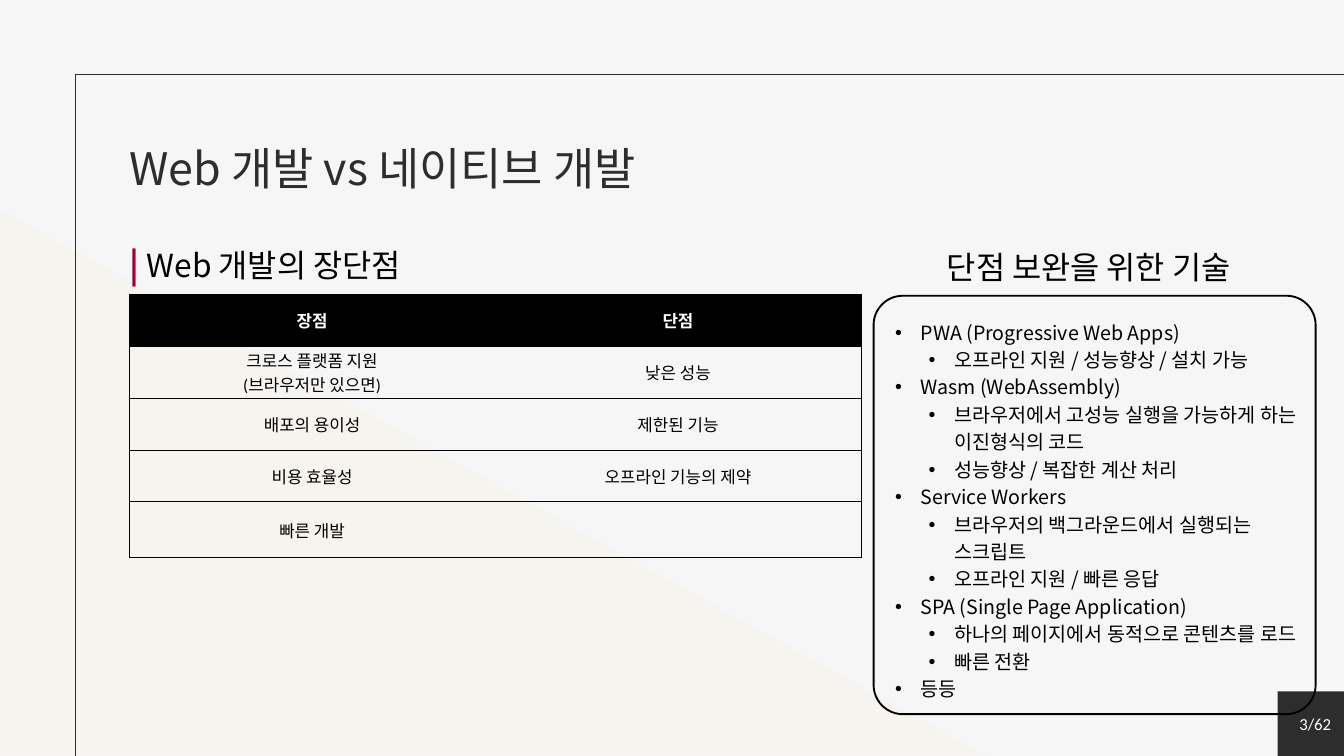
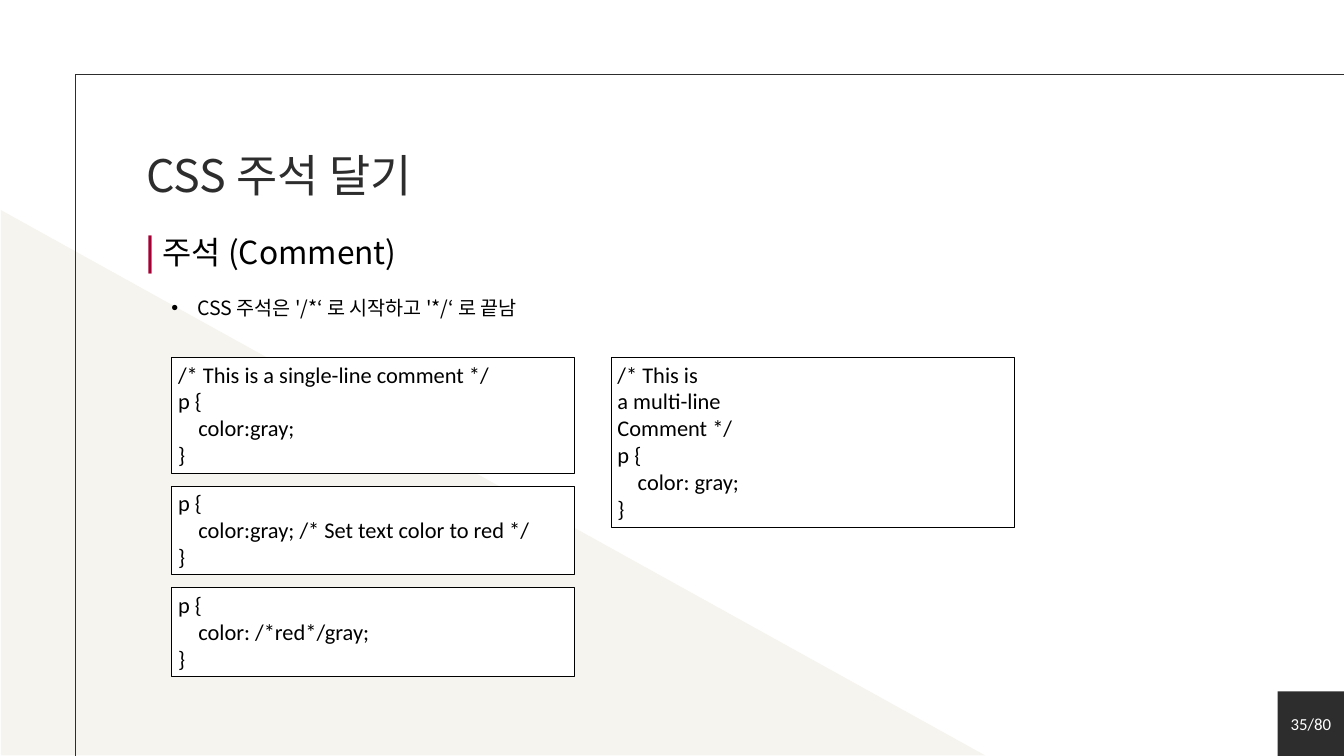
from lxml import etree
from pptx import Presentation
from pptx import util as u
from pptx.dml import color
from pptx.enum import shapes, text
from pptx.oxml import ns

COLORS = {
    "ink": "2D2D2D", "black": "000000", "white": "FFFFFF",
    "accent": "A50034", "sand": "F6F4EF", "mist": "F6F6F6",
}
SANS = "Noto Sans CJK KR"
PLAIN = "Calibri"
WIDTH, HEIGHT = 50.8, 28.58
CODE_WIDTH, CODE_LINE, CODE_PADDING, CODE_GAP = 15.24, 1.03, 0.25, 0.5


def rgb(name):
    return color.RGBColor.from_string(COLORS[name])


def box(left, top, width, height):
    return [u.Cm(length) for length in (left, top, width, height)]


def style_run(run, size, name, shade, bold=False):
    run.font.size = u.Pt(size)
    run.font.name = name
    run.font.bold = bold
    run.font.color.rgb = rgb(shade)
    east_asian = etree.Element(ns.qn("a:ea"), typeface=SANS)
    run.font._element.find(ns.qn("a:latin")).addnext(east_asian)


def style_paragraphs(frame, size, name, shade, spacing=None, align=text.PP_ALIGN.LEFT, bold=False):
    for paragraph in frame.paragraphs:
        paragraph.alignment = align
        if spacing:
            paragraph.line_spacing = u.Pt(spacing)
        for run in paragraph.runs:
            style_run(run, size, name, shade, bold)


def add_text_frame(slide, left, top, width, height):
    frame = slide.shapes.add_textbox(*box(left, top, width, height)).text_frame
    frame.word_wrap = True
    frame.margin_left = frame.margin_right = frame.margin_top = frame.margin_bottom = 0
    return frame


def add_shape(slide, kind, left, top, width, height, fill=None, line=None, weight=0.75):
    shape = slide.shapes.add_shape(kind, *box(left, top, width, height))
    shape.shadow.inherit = False
    if fill:
        shape.fill.solid()
        shape.fill.fore_color.rgb = rgb(fill)
    else:
        shape.fill.background()
    if line:
        shape.line.color.rgb = rgb(line)
        shape.line.width = u.Pt(weight)
    else:
        shape.line.fill.background()
    return shape


def add_rule(slide, left, top, right, bottom):
    rule = slide.shapes.add_connector(
        shapes.MSO_CONNECTOR.STRAIGHT, *box(left, top, right, bottom))
    rule.line.color.rgb = rgb("ink")
    rule.line.width = u.Pt(0.75)
    etree.SubElement(rule._element.spPr, ns.qn("a:effectLst"))


def add_base(presentation, background):
    slide = presentation.slides.add_slide(presentation.slide_layouts[6])
    slide.background.fill.solid()
    slide.background.fill.fore_color.rgb = rgb(background)
    add_shape(slide, shapes.MSO_SHAPE.RECTANGLE, 48.29, 26.14, 2.51, 2.44, "ink")
    wedge = add_shape(slide, shapes.MSO_SHAPE.ISOSCELES_TRIANGLE, 0.03, 7.94, 37.21, 20.62, "sand")
    wedge.adjustments[0] = 0
    add_rule(slide, 2.84, 2.84, 2.84, HEIGHT)
    add_rule(slide, WIDTH, 2.8, 2.84, 2.8)
    return slide


def add_title(slide, left, top, title):
    frame = add_text_frame(slide, left, top, 31.72, 2.3)
    frame.text = title
    style_paragraphs(frame, 48, SANS, "ink", 67.2)


def add_heading(slide, left, top, heading, barred=True):
    frame = add_text_frame(slide, left, top, 11.18, 1.68)
    paragraph = frame.paragraphs[0]
    paragraph.line_spacing = u.Pt(47.6)
    if barred:
        bar = paragraph.add_run()
        bar.text = "| "
        style_run(bar, 36, SANS, "accent", True)
    label = paragraph.add_run()
    label.text = heading
    style_run(label, 34, SANS, "black")


def add_bullets(slide, left, top, width, height, items):
    frame = add_text_frame(slide, left, top, width, height)
    frame.text = "\n".join(item for level, item in items)
    for paragraph, (level, item) in zip(frame.paragraphs, items):
        paragraph.level = level
        properties = paragraph._p.get_or_add_pPr()
        properties.set("marL", str(u.Cm(0.97 + 1.27 * level)))
        properties.set("indent", str(u.Cm(-0.97)))
        etree.SubElement(properties, ns.qn("a:buFont"), typeface="Arial")
        etree.SubElement(properties, ns.qn("a:buChar"), char="•")
    style_paragraphs(frame, 21, SANS, "black", 29.4)


def add_page_number(slide, number):
    frame = slide.shapes.add_textbox(*box(44.65, 26.85, 5.92, 1.02)).text_frame
    frame.word_wrap = True
    frame.vertical_anchor = text.MSO_ANCHOR.MIDDLE
    frame.text = number
    style_paragraphs(frame, 18, PLAIN, "white", align=text.PP_ALIGN.RIGHT)


def set_borders(cell, visible):
    properties = cell._tc.get_or_add_tcPr()
    for index, side in enumerate("LRTB"):
        border = etree.Element(ns.qn("a:ln" + side), w=str(u.Pt(0.75)))
        if side in visible:
            fill = etree.SubElement(border, ns.qn("a:solidFill"))
            etree.SubElement(fill, ns.qn("a:srgbClr"), val=COLORS["black"])
        else:
            etree.SubElement(border, ns.qn("a:noFill"))
        properties.insert(index, border)


def add_pros_cons(slide, left, top, width, rows, heights):
    table = slide.shapes.add_table(
        len(rows), 2, *box(left, top, width, sum(heights))).table
    for row_index, (row, height) in enumerate(zip(rows, heights)):
        table.rows[row_index].height = u.Cm(height)
        header = row_index == 0
        for column_index, content in enumerate(row):
            cell = table.cell(row_index, column_index)
            cell.text = content
            cell.vertical_anchor = text.MSO_ANCHOR.MIDDLE
            cell.margin_top = cell.margin_bottom = 0
            if header:
                cell.fill.solid()
                cell.fill.fore_color.rgb = rgb("black")
            else:
                cell.fill.background()
            style_paragraphs(cell.text_frame, 18, PLAIN, "white" if header else "black",
                             align=text.PP_ALIGN.CENTER, bold=header)
            set_borders(cell, "LR"[column_index] + "TB")


def add_code_column(slide, left, top, snippets):
    for snippet in snippets:
        height = CODE_PADDING + CODE_LINE * len(snippet.split("\n"))
        panel = add_shape(slide, shapes.MSO_SHAPE.RECTANGLE, left, top, CODE_WIDTH, height,
                          "white", "black")
        frame = panel.text_frame
        frame.word_wrap = True
        frame.vertical_anchor = text.MSO_ANCHOR.TOP
        frame.text = snippet
        style_paragraphs(frame, 24, PLAIN, "black")
        top += height + CODE_GAP


def add_remedies(slide, left, top, items):
    add_heading(slide, left + 2.77, top - 2.06, "단점 보완을 위한 기술", barred=False)
    add_bullets(slide, left + 0.81, top + 0.79, 15.9, 14.45, items)
    outline = add_shape(slide, shapes.MSO_SHAPE.ROUNDED_RECTANGLE, left, top, 16.71, 15.82,
                        line="black", weight=2)
    outline.adjustments[0] = 0.07


def build_comparison(presentation):
    slide = add_base(presentation, "mist")
    add_title(slide, 4.9, 4.98, "Web 개발 vs 네이티브 개발")
    add_heading(slide, 4.88, 9.07, "Web 개발의 장단점")
    add_pros_cons(slide, 4.88, 11.13, 27.66, [
        ("장점", "단점"),
        ("크로스 플랫폼 지원\v(브라우저만 있으면)", "낮은 성능"),
        ("배포의 용이성", "제한된 기능"),
        ("비용 효율성", "오프라인 기능의 제약"),
        ("빠른 개발", ""),
    ], [1.96] * 4 + [2.11])
    add_remedies(slide, 33.02, 11.18, [
        (0, "PWA (Progressive Web Apps)"),
        (1, "오프라인 지원 / 성능향상 / 설치 가능"),
        (0, "Wasm (WebAssembly)"),
        (1, "브라우저에서 고성능 실행을 가능하게 하는 이진형식의 코드"),
        (1, "성능향상 / 복잡한 계산 처리"),
        (0, "Service Workers"),
        (1, "브라우저의 백그라운드에서 실행되는 스크립트"),
        (1, "오프라인 지원 / 빠른 응답"),
        (0, "SPA (Single Page Application)"),
        (1, "하나의 페이지에서 동적으로 콘텐츠를 로드"),
        (1, "빠른 전환"),
        (0, "등등"),
    ])
    add_page_number(slide, "3/62")


def build_css_comments(presentation):
    slide = add_base(presentation, "white")
    add_title(slide, 5.54, 5.26, "CSS 주석 달기")
    add_heading(slide, 5.49, 8.59, "주석 (Comment)")
    add_bullets(slide, 6.48, 11.05, 31.75, 0.97, [(0, "CSS 주석은 '/*‘ 로 시작하고 '*/‘ 로 끝남")])
    add_code_column(slide, 6.48, 13.51, [
        "/* This is a single-line comment */\np {\n    color:gray;\n}",
        "p {\n    color:gray; /* Set text color to red */\n}",
        "p {\n    color: /*red*/gray;\n}",
    ])
    add_code_column(slide, 23.09, 13.51, [
        "/* This is\na multi-line\nComment */\np {\n    color: gray;\n}",
    ])
    add_page_number(slide, "35/80")


def main():
    presentation = Presentation()
    presentation.slide_width = u.Cm(WIDTH)
    presentation.slide_height = u.Cm(HEIGHT)
    build_comparison(presentation)
    build_css_comments(presentation)
    presentation.save("out.pptx")


if __name__ == "__main__":
    main()
